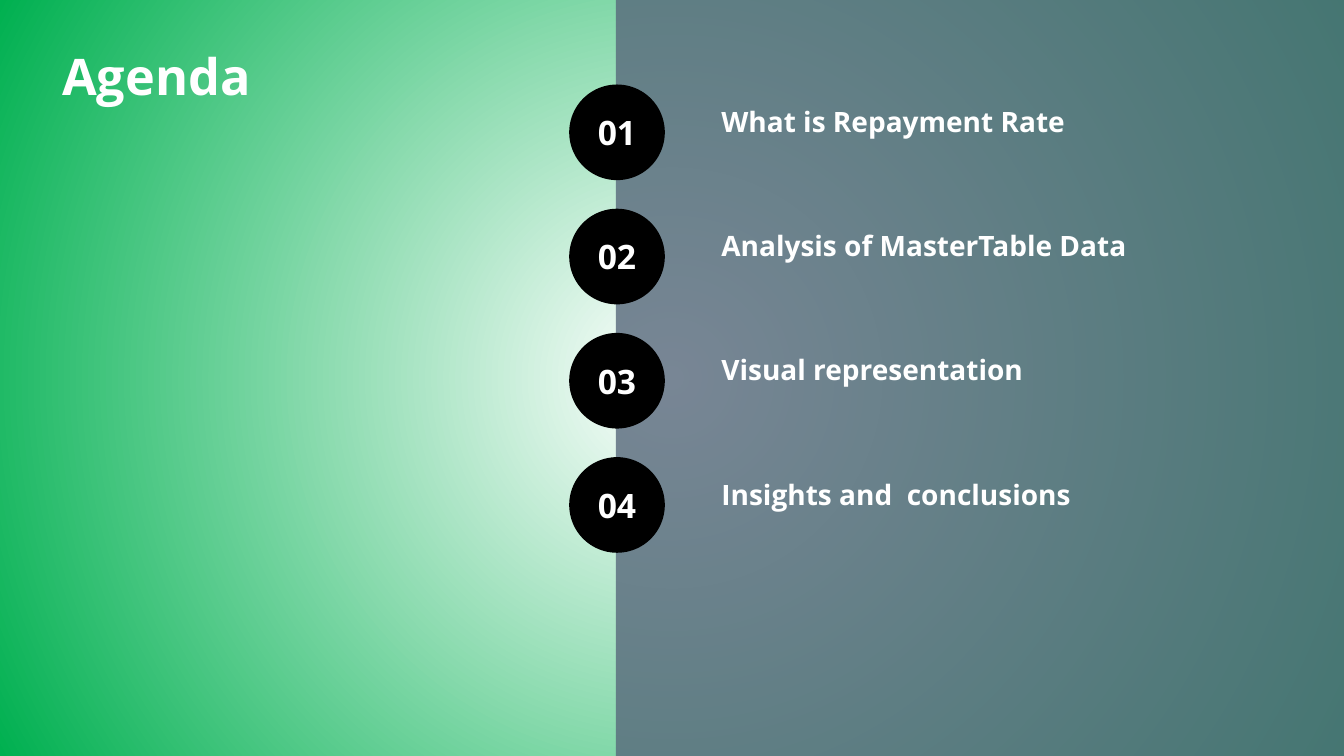
"""Builds the agenda slide with four numbered topics."""
from lxml import etree
from pptx import Presentation
from pptx.dml.color import RGBColor
from pptx.enum.shapes import MSO_SHAPE as Shape
from pptx.enum.text import MSO_ANCHOR as Anchor, MSO_AUTO_SIZE as AutoSize, PP_ALIGN as Align
from pptx.oxml import parse_xml
from pptx.oxml.ns import nsdecls, qn
from pptx.util import Cm, Pt

HEADING = "Agenda"
TOPICS = [
    "What is Repayment Rate",
    "Analysis of MasterTable Data",
    "Visual representation",
    "Insights and  conclusions",
]
GLOW = [(0, "FFFFFF"), (100, "00B050"), (100, "D9D9D9")]
FONT, WHITE, BLACK, SLATE = "Open Sans", "FFFFFF", "000000", "57687B"

SLIDE_W, SLIDE_H = 33.87, 19.05
PANEL_LEFT = 15.52
BADGE = 2.41
FIRST_TOP, PITCH = 2.13, 3.13
TOPIC_LEFT, TOPIC_DROP = 17.93, 0.38


def rgb(hex_colour):
    return RGBColor.from_string(hex_colour)


def write(shape, text, size, align=Align.LEFT):
    line = shape.text_frame.paragraphs[0]
    line.text = text
    line.alignment = align
    font = line.font
    font.name, font.size, font.bold = FONT, Pt(size), True
    font.color.rgb = rgb(WHITE)


def add_plain(slide, kind, left, top, width, height, colour):
    shape = slide.shapes.add_shape(kind, Cm(left), Cm(top), Cm(width), Cm(height))
    shape.shadow.inherit = False
    shape.fill.solid()
    shape.fill.fore_color.rgb = rgb(colour)
    shape.line.fill.background()
    return shape


def add_label(slide, left, top, width, height, text, size):
    label = slide.shapes.add_textbox(Cm(left), Cm(top), Cm(width), Cm(height))
    label.text_frame.word_wrap = True
    label.text_frame.auto_size = AutoSize.SHAPE_TO_FIT_TEXT
    write(label, text, size)


def paint_background(slide):
    slide.background.fill.solid()
    solid = slide.element.find(".//" + qn("p:bgPr")).find(qn("a:solidFill"))
    stops = "".join(
        f'<a:gs pos="{pos * 1000}"><a:srgbClr val="{colour}"/></a:gs>' for pos, colour in GLOW
    )
    glow = parse_xml(
        f'<a:gradFill {nsdecls("a")} rotWithShape="1"><a:gsLst>{stops}</a:gsLst>'
        '<a:path path="circle"><a:fillToRect l="50000" t="50000" r="50000" b="50000"/>'
        "</a:path></a:gradFill>"
    )
    solid.getparent().replace(solid, glow)


def main():
    deck = Presentation()
    deck.slide_width, deck.slide_height = Cm(SLIDE_W), Cm(SLIDE_H)
    slide = deck.slides.add_slide(deck.slide_layouts[6])
    paint_background(slide)

    panel = add_plain(
        slide, Shape.RECTANGLE, PANEL_LEFT, 0, SLIDE_W - PANEL_LEFT, SLIDE_H, SLATE
    )
    tint = panel.fill._xPr.find(qn("a:solidFill"))[0]
    etree.SubElement(tint, qn("a:alpha")).set("val", "80000")

    for index, topic in enumerate(TOPICS):
        top = FIRST_TOP + index * PITCH
        badge = add_plain(
            slide, Shape.OVAL, PANEL_LEFT + 0.03 - BADGE / 2, top, BADGE, BADGE, BLACK
        )
        badge.text_frame.vertical_anchor = Anchor.MIDDLE
        write(badge, f"{index + 1:02}", 24, Align.CENTER)
        add_label(slide, TOPIC_LEFT, top + TOPIC_DROP, 12.4, 1.11, topic, 20)

    add_label(slide, 1.32, 1, 10.8, 1.8, HEADING, 36)
    deck.save("out.pptx")


if __name__ == "__main__":
    main()
